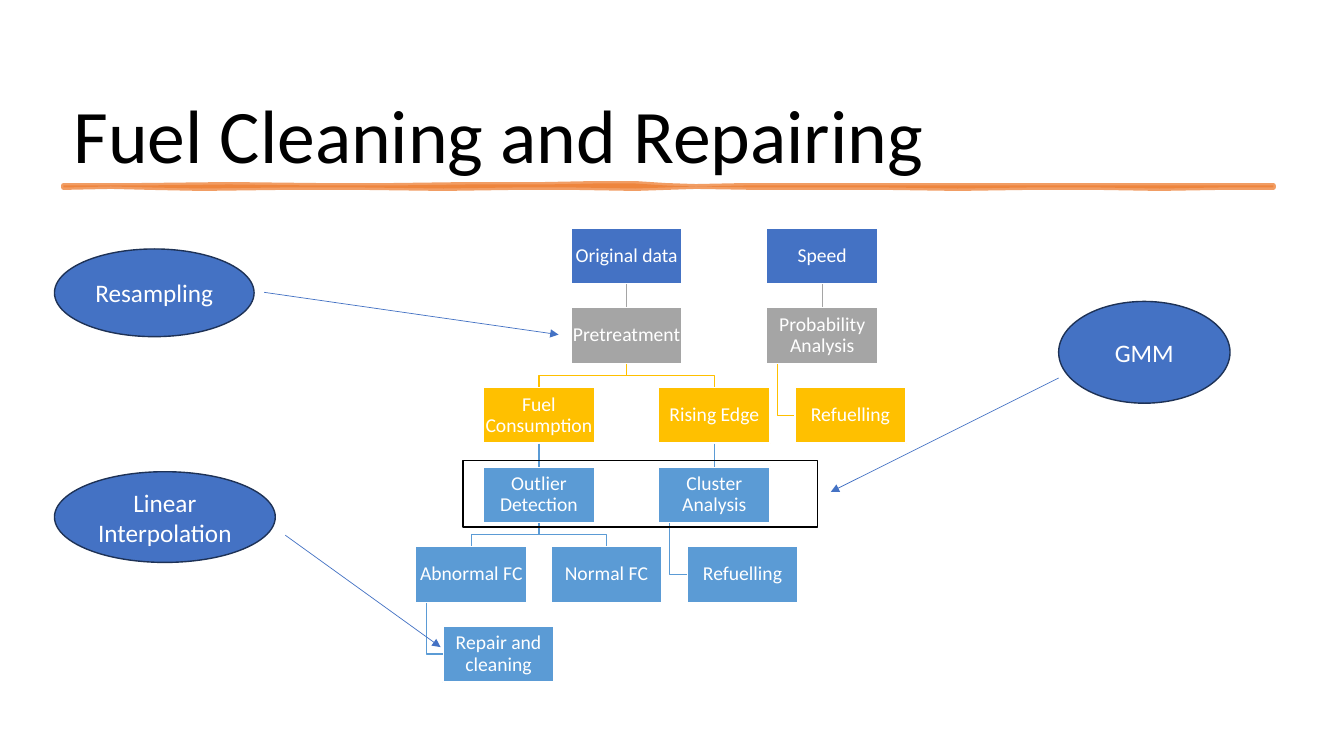
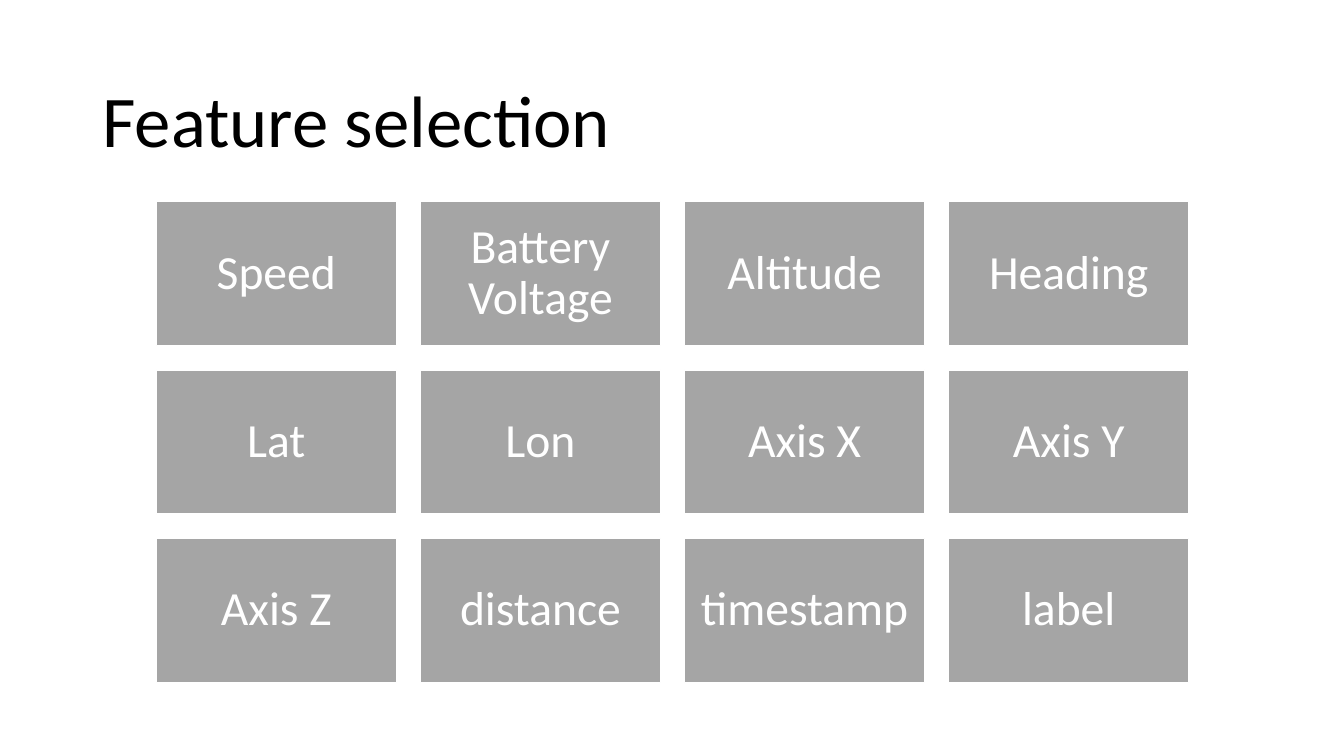
from lxml import etree
from pptx import Presentation
from pptx.dml.color import RGBColor
from pptx.enum import shapes, text
from pptx.oxml.ns import qn
from pptx.util import Inches, Pt

COLOURS = {
    "black": "000000", "white": "FFFFFF", "blue": "4472C4", "navy": "1E3256",
    "grey": "A5A5A5", "gold": "FFC000", "sky": "5B9BD5", "orange": "ED7D31",
}
FONT = "Calibri"

# Flow chart: key -> (label, left, level, parent, kind of link to the parent)
FLOW_STEPS = {
    "data": ("Original data", 5.66, 0, None, None),
    "pretreatment": ("Pretreatment", 5.66, 1, "data", "straight"),
    "consumption": ("Fuel Consumption", 4.79, 2, "pretreatment", "branch"),
    "outlier": ("Outlier Detection", 4.79, 3, "consumption", "straight"),
    "abnormal": ("Abnormal FC", 4.12, 4, "outlier", "branch"),
    "repair": ("Repair and cleaning", 4.39, 5, "abnormal", "hanging"),
    "normal": ("Normal FC", 5.46, 4, "outlier", "branch"),
    "rising": ("Rising Edge", 6.53, 2, "pretreatment", "branch"),
    "cluster": ("Cluster Analysis", 6.53, 3, "rising", "straight"),
    "refuelling": ("Refuelling", 6.81, 4, "cluster", "hanging"),
    "speed": ("Speed", 7.6, 0, None, None),
    "probability": ("Probability Analysis", 7.6, 1, "speed", "straight"),
    "speed refuelling": ("Refuelling", 7.88, 2, "probability", "hanging"),
}
LEVEL_COLOURS = ["blue", "grey", "gold", "sky", "sky", "sky"]
STEP_WIDTH, STEP_HEIGHT = 1.11, 0.56
FLOW_TOP, LEVEL_PITCH = 2.26, 0.79
HANG_INDENT = 0.11

# Method: (label, ellipse position and size, arrow start, arrow end)
METHODS = [
    ("Resampling", (0.54, 2.47, 1.98, 0.87), (2.62, 2.9), (5.54, 3.32)),
    ("GMM", (10.5, 2.99, 1.7, 1.01), (10.5, 3.75), (8.24, 4.88)),
    ("Linear Interpolation", (0.54, 4.68, 2.19, 0.9), (2.83, 5.31), (4.37, 6.42)),
]
METHOD_FRAME = (4.59, 4.57, 3.52, 0.66)

# Hand-drawn rule below the title: upper edge, then lower edge back
BRUSH_EDGE = [
    (0.63, 1.84), (1.4, 1.84), (2.27, 1.83), (3.14, 1.84), (3.9, 1.84),
    (4.65, 1.83), (5.4, 1.83), (5.9, 1.82), (6.3, 1.82), (6.6, 1.84),
    (6.9, 1.85), (7.4, 1.84), (8.52, 1.84), (9.5, 1.84), (10.5, 1.84),
    (11.3, 1.84), (12, 1.84), (12.63, 1.84), (12.63, 1.86), (12.1, 1.86),
    (11.5, 1.87), (10.9, 1.86), (10.2, 1.86), (9.5, 1.87), (8.8, 1.86),
    (8.1, 1.86), (7.5, 1.86), (6.9, 1.85), (6.3, 1.87), (5.7, 1.86),
    (5.1, 1.86), (4.4, 1.87), (3.6, 1.86), (2.8, 1.86), (2.0, 1.87),
    (1.5, 1.86), (1.1, 1.85), (0.63, 1.86),
]

FEATURES = [
    ["Speed", "Battery Voltage", "Altitude", "Heading"],
    ["Lat", "Lon", "Axis X", "Axis Y"],
    ["Axis Z", "distance", "timestamp", "label"],
]
TILE_LEFT, TILE_TOP = 1.55, 2
TILE_WIDTH, TILE_HEIGHT, TILE_GAP = 2.38, 1.43, 0.24


def rgb(name):
    return RGBColor.from_string(COLOURS[name])


def write(shape, label, size, colour, align, anchor, inset=None, spacing=None):
    frame = shape.text_frame
    frame.word_wrap = True
    frame.vertical_anchor = anchor
    if inset is not None:
        frame.margin_left = frame.margin_right = Inches(inset)
        frame.margin_top = frame.margin_bottom = Inches(inset)
    frame.text = label
    para = frame.paragraphs[0]
    para.alignment = align
    if spacing:
        para.line_spacing = spacing
    para.font.size = Pt(size)
    para.font.name = FONT
    para.font.color.rgb = rgb(colour)


def add_title(slide, label, place, size, anchor):
    box = slide.shapes.add_textbox(*map(Inches, place))
    write(box, label, size, "black", text.PP_ALIGN.LEFT, anchor, spacing=0.9)


def paint(shape, fill, line, width):
    shape.shadow.inherit = False
    if fill:
        shape.fill.solid()
        shape.fill.fore_color.rgb = rgb(fill)
    else:
        shape.fill.background()
    shape.line.color.rgb = rgb(line)
    shape.line.width = Pt(width)


def add_box(slide, kind, place, fill, line, width):
    box = slide.shapes.add_shape(kind, *map(Inches, place))
    paint(box, fill, line, width)
    return box


def add_label_box(slide, label, place, fill, line_width, size, inset):
    box = add_box(slide, shapes.MSO_SHAPE.RECTANGLE, place, fill, "white", line_width)
    write(box, label, size, "white", text.PP_ALIGN.CENTER,
          text.MSO_ANCHOR.MIDDLE, inset, 0.9)
    return box


def add_line(slide, start, end, colour, width):
    line = slide.shapes.add_connector(
        shapes.MSO_CONNECTOR.STRAIGHT, *map(Inches, (*start, *end)))
    line.line.color.rgb = rgb(colour)
    line.line.width = Pt(width)
    etree.SubElement(line._element.spPr, qn("a:effectLst"))
    return line


def add_path(slide, points, fill, line, width, close=False):
    corners = [(Inches(x), Inches(y)) for x, y in points]
    builder = slide.shapes.build_freeform(*corners[0])
    builder.add_line_segments(corners[1:], close=close)
    outline = builder.convert_to_shape()
    paint(outline, fill, line, width)
    return outline


def add_brush_rule(slide):
    rule = add_path(slide, BRUSH_EDGE, "orange", "orange", 3.5, close=True)
    for colour in rule._element.spPr.iter(qn("a:srgbClr")):
        etree.SubElement(colour, qn("a:alpha"), val="75000")


def level_top(level):
    return FLOW_TOP + level * LEVEL_PITCH


def add_link(slide, boxes, key):
    """Draw the line from a step's parent to the step."""
    _, left, level, parent, kind = FLOW_STEPS[key]
    if parent is None:
        return
    parent_left = FLOW_STEPS[parent][1]
    colour = LEVEL_COLOURS[level]
    top = level_top(level)
    start_y = level_top(level - 1) + STEP_HEIGHT
    start_x = parent_left + STEP_WIDTH / 2
    if kind == "straight":
        line = add_line(slide, (start_x, start_y), (start_x, top), colour, 1)
        line.begin_connect(boxes[parent], 2)
        line.end_connect(boxes[key], 0)
    elif kind == "branch":
        end_x, middle = left + STEP_WIDTH / 2, (start_y + top) / 2
        add_path(slide, [(start_x, start_y), (start_x, middle),
                         (end_x, middle), (end_x, top)], None, colour, 1)
    else:
        hang_x, middle = parent_left + HANG_INDENT, top + STEP_HEIGHT / 2
        add_path(slide, [(hang_x, start_y), (hang_x, middle), (left, middle)],
                 None, colour, 1)


def build_cleaning_slide(slide):
    add_title(slide, "Fuel Cleaning and Repairing", (0.63, 0.26, 12.05, 1.57),
              54, text.MSO_ANCHOR.BOTTOM)
    add_brush_rule(slide)
    boxes = {}
    for key, (label, left, level, _, _) in FLOW_STEPS.items():
        place = (left, level_top(level), STEP_WIDTH, STEP_HEIGHT)
        boxes[key] = add_label_box(slide, label, place, LEVEL_COLOURS[level],
                                   1.5, 14, 0.01)
    for key in FLOW_STEPS:
        add_link(slide, boxes, key)
    add_box(slide, shapes.MSO_SHAPE.RECTANGLE, METHOD_FRAME, None, "black", 1)
    for label, place, start, end in METHODS:
        ellipse = add_box(slide, shapes.MSO_SHAPE.OVAL, place, "blue", "navy", 1)
        write(ellipse, label, 18, "white", text.PP_ALIGN.CENTER,
              text.MSO_ANCHOR.MIDDLE)
        arrow = add_line(slide, start, end, "blue", 0.5)
        etree.SubElement(arrow.line._get_or_add_ln(), qn("a:tailEnd"), type="triangle")


def build_feature_slide(slide):
    add_title(slide, "Feature selection", (0.92, 0.61, 11.5, 1.24),
              52, text.MSO_ANCHOR.MIDDLE)
    for row, labels in enumerate(FEATURES):
        for column, label in enumerate(labels):
            place = (TILE_LEFT + column * (TILE_WIDTH + TILE_GAP),
                     TILE_TOP + row * (TILE_HEIGHT + TILE_GAP),
                     TILE_WIDTH, TILE_HEIGHT)
            add_label_box(slide, label, place, "grey", 1, 34, 0.14)


def main():
    deck = Presentation()
    deck.slide_width, deck.slide_height = Inches(13.33), Inches(7.5)
    blank = deck.slide_layouts[6]
    for build in (build_cleaning_slide, build_feature_slide):
        build(deck.slides.add_slide(blank))
    deck.save("out.pptx")


if __name__ == "__main__":
    main()
